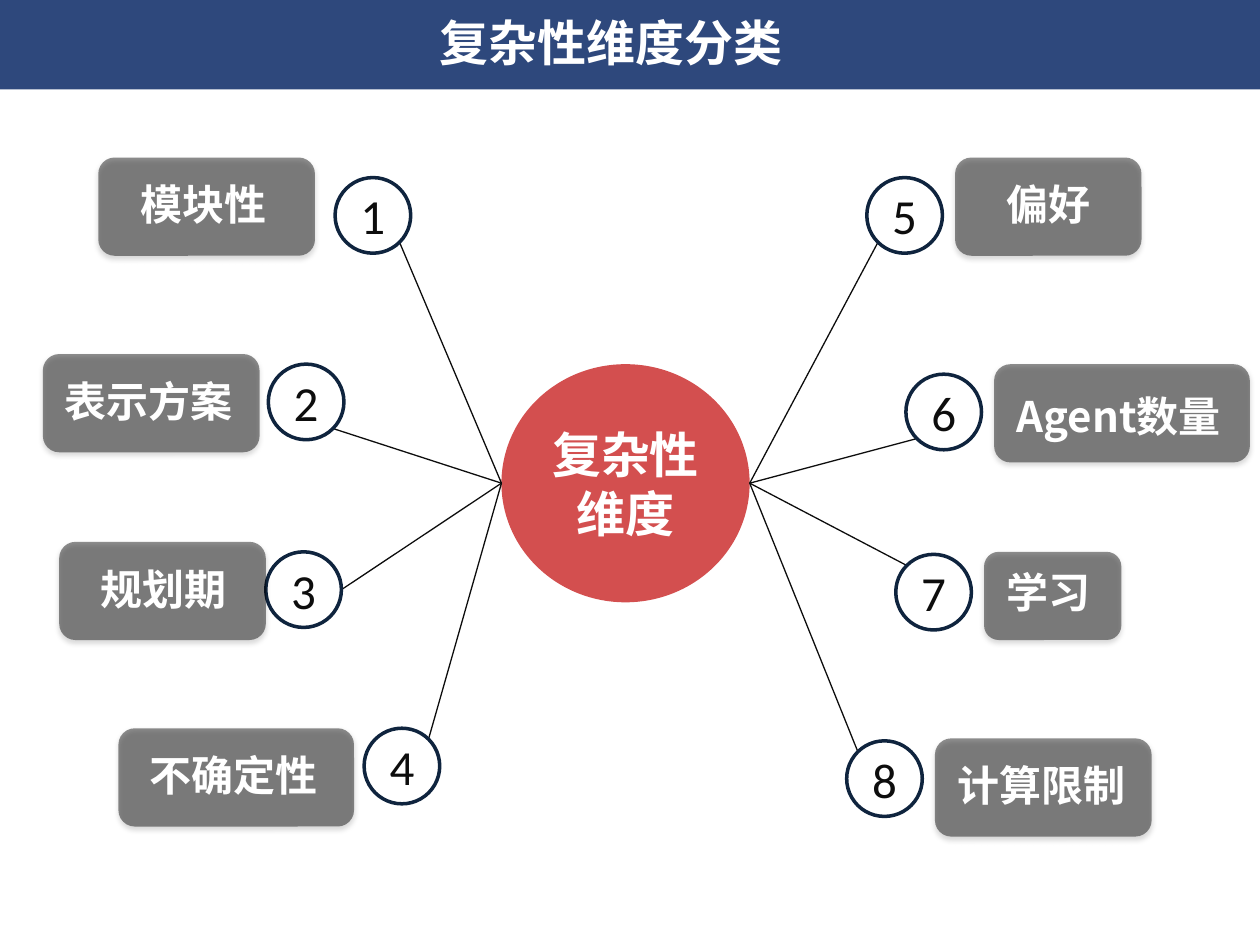
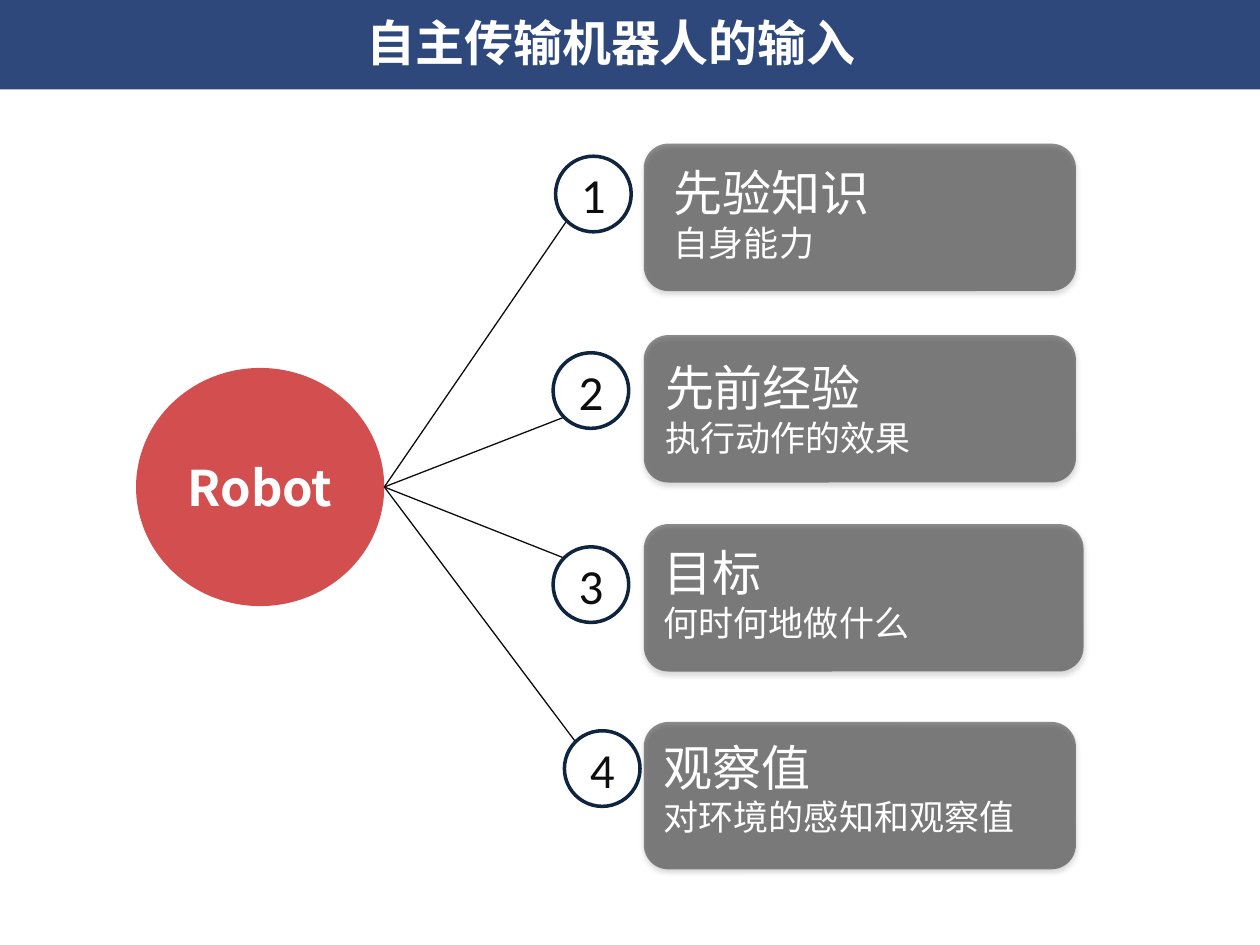
from lxml import etree
from pptx import Presentation
from pptx.dml.color import RGBColor
from pptx.enum.shapes import MSO_CONNECTOR, MSO_SHAPE
from pptx.enum.text import MSO_ANCHOR, PP_ALIGN
from pptx.oxml.ns import qn
from pptx.util import Inches, Pt

RECTANGLE = MSO_SHAPE.RECTANGLE
ROUNDED = MSO_SHAPE.ROUNDED_RECTANGLE
OVAL = MSO_SHAPE.OVAL
STRAIGHT = MSO_CONNECTOR.STRAIGHT
CENTER, LEFT = PP_ALIGN.CENTER, PP_ALIGN.LEFT
MIDDLE, TOP = MSO_ANCHOR.MIDDLE, MSO_ANCHOR.TOP

SLIDE_WIDTH, SLIDE_HEIGHT = 10, 7.5
COLORS = {"band": "002060", "hub": "C00000", "card": "000000", "ring": "0F243E",
          "ink": "0D0D0D", "white": "FFFFFF"}
OPACITY = {"band": 82, "hub": 69, "card": 44, "shadow": 35}
CHINESE_FONT, NUMBER_FONT = "Noto Sans CJK SC", "Calibri"
HUB_SIZE = (1.97, 1.89)
RING = 0.6

# Points on a ring where a spoke may end, as shares of the ring's box
SITES = {"top left": (0.15, 0.15), "top right": (0.85, 0.15), "right": (1, 0.5),
         "bottom left": (0.15, 0.85), "bottom right": (0.85, 0.85)}

# Branch: number, ring position, spoke site, card box, text position, text lines
DIAGRAMS = [
    {"title": "复杂性维度分类", "hub": "复杂性维度", "hub_at": (3.98, 2.89),
     "text_size": (2.11, 0.5), "line_sizes": [24], "bold": True,
     "branches": [
         ("1", (2.66, 1.41), "bottom right", (0.78, 1.25, 1.72, 0.78), (1.02, 1.37), ["模块性"]),
         ("2", (2.13, 2.89), "bottom right", (0.34, 2.81, 1.72, 0.78), (0.41, 2.93), ["表示方案"]),
         ("3", (2.11, 4.38), "right", (0.47, 4.3, 1.64, 0.78), (0.7, 4.42), ["规划期"]),
         ("4", (2.89, 5.78), "top right", (0.94, 5.78, 1.87, 0.78), (1.09, 5.9), ["不确定性"]),
         ("5", (6.88, 1.41), "bottom left", (7.58, 1.25, 1.48, 0.78), (7.89, 1.37), ["偏好"]),
         ("6", (7.19, 2.97), "bottom left", (7.89, 2.89, 2.03, 0.78), (7.97, 3.05), ["Agent数量"]),
         ("7", (7.11, 4.4), "top left", (7.81, 4.38, 1.09, 0.7), (7.89, 4.45), ["学习"]),
         ("8", (6.72, 5.88), "top left", (7.42, 5.86, 1.72, 0.78), (7.5, 5.98), ["计算限制"]),
     ]},
    {"title": "自主传输机器人的输入", "hub": "Robot", "hub_at": (1.08, 2.92),
     "text_size": (5.69, 0.91), "line_sizes": [28, 20], "bold": False,
     "branches": [
         ("1", (4.41, 1.24), "bottom left", (5.11, 1.14, 3.43, 1.17), (5.25, 1.24),
          ["先验知识", "自身能力"]),
         ("2", (4.39, 2.8), "bottom left", (5.11, 2.66, 3.43, 1.17), (5.18, 2.79),
          ["先前经验", "执行动作的效果"]),
         ("3", (4.39, 4.34), "top left", (5.11, 4.16, 3.49, 1.17), (5.17, 4.26),
          ["目标", "何时何地做什么"]),
         ("4", (4.48, 5.8), "top left", (5.11, 5.73, 3.43, 1.17), (5.17, 5.8),
          ["观察值", "对环境的感知和观察值"]),
     ]},
]


def rgb(name):
    return RGBColor.from_string(COLORS[name])


def inches(values):
    return [Inches(value) for value in values]


def add_alpha(color_element, percent):
    etree.SubElement(color_element, qn("a:alpha"), val=str(percent * 1000))


def add_filled(slide, preset, box, fill):
    """Add a shape without outline; fill names a translucent colour or is None."""
    shape = slide.shapes.add_shape(preset, *inches(box))
    shape.shadow.inherit = False
    shape.line.fill.background()
    if fill is None:
        shape.fill.background()
    else:
        shape.fill.solid()
        shape.fill.fore_color.rgb = rgb(fill)
        add_alpha(shape._element.spPr.find(".//" + qn("a:srgbClr")), OPACITY[fill])
    return shape


def write(shape, lines, sizes, color="white", bold=False, font=CHINESE_FONT,
          align=CENTER, anchor=MIDDLE):
    text_frame = shape.text_frame
    text_frame.word_wrap = True
    text_frame.vertical_anchor = anchor
    text_frame.text = "\n".join(lines)
    for paragraph, size in zip(text_frame.paragraphs, sizes):
        paragraph.alignment = align
        for run in paragraph.runs:
            run.font.size = Pt(size)
            run.font.bold = bold
            run.font.name = font
            run.font.color.rgb = rgb(color)
            etree.SubElement(run._r.get_or_add_rPr(), qn("a:ea"), typeface=font)


def add_title(slide, title):
    add_filled(slide, RECTANGLE, (0, -0.03, SLIDE_WIDTH, 0.74), "band")
    box = slide.shapes.add_textbox(*inches((0.67, 0.05, 8.36, 0.57)))
    write(box, [title], [28], bold=True, anchor=TOP)


def add_spoke(slide, start, end):
    spoke = slide.shapes.add_connector(STRAIGHT, *inches(start + end))
    spoke.line.color.rgb = rgb("ink")
    spoke.line.width = Pt(0.75)
    etree.SubElement(spoke._element.spPr, qn("a:effectLst"))


def add_ring(slide, number, position):
    ring = add_filled(slide, OVAL, position + (RING, RING), None)
    ring.line.color.rgb = rgb("ring")
    ring.line.width = Pt(2)
    write(ring, [number], [28], color="ink", font=NUMBER_FONT)


def add_card(slide, box):
    card = add_filled(slide, ROUNDED, box, "card")
    effects = card._element.spPr.find(qn("a:effectLst"))
    shadow = etree.SubElement(effects, qn("a:outerShdw"), blurRad=str(Pt(3.1)),
                              dist=str(Pt(1.8)), dir=str(90 * 60000), rotWithShape="0")
    add_alpha(etree.SubElement(shadow, qn("a:srgbClr"), val=COLORS["card"]),
              OPACITY["shadow"])


def add_diagram(slide, diagram):
    add_title(slide, diagram["title"])
    hub_left, hub_top = diagram["hub_at"]
    hub_width, hub_height = HUB_SIZE
    hub = add_filled(slide, OVAL, diagram["hub_at"] + HUB_SIZE, "hub")
    write(hub, [diagram["hub"]], [28], bold=True)

    for number, (left, top), site, card_box, text_at, lines in diagram["branches"]:
        share_x, share_y = SITES[site]
        hub_x = hub_left if left < hub_left else hub_left + hub_width
        add_spoke(slide, (hub_x, hub_top + hub_height / 2),
                  (left + share_x * RING, top + share_y * RING))
        add_ring(slide, number, (left, top))
        add_card(slide, card_box)
        width, height = diagram["text_size"]
        width = min(width, SLIDE_WIDTH - text_at[0])
        label = slide.shapes.add_textbox(*inches(text_at + (width, height)))
        write(label, lines, diagram["line_sizes"], bold=diagram["bold"],
              align=LEFT, anchor=TOP)


def main():
    presentation = Presentation()
    presentation.slide_width = Inches(SLIDE_WIDTH)
    presentation.slide_height = Inches(SLIDE_HEIGHT)
    blank_layout = presentation.slide_layouts[6]
    for diagram in DIAGRAMS:
        add_diagram(presentation.slides.add_slide(blank_layout), diagram)
    presentation.save("out.pptx")


if __name__ == "__main__":
    main()
